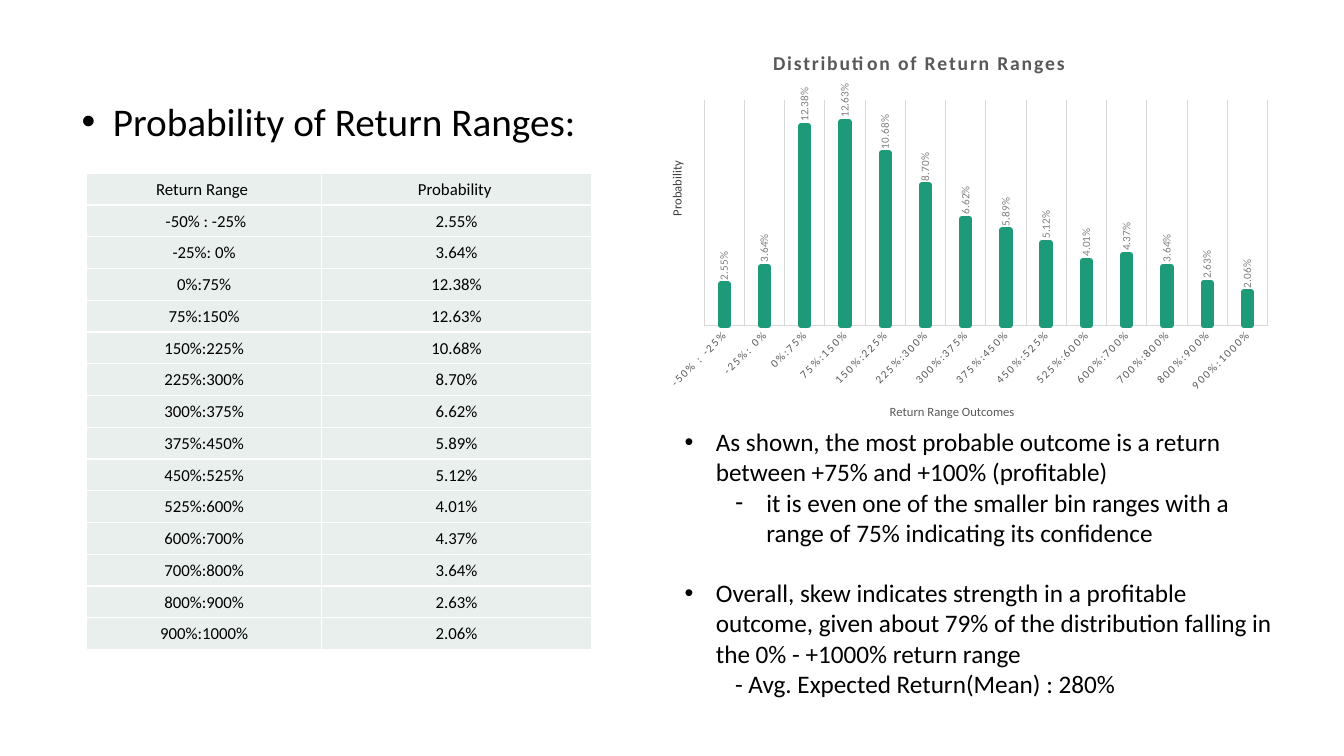
from typing import Any, NamedTuple

from lxml import etree
from pptx import Presentation
from pptx import util as u
from pptx.chart import data as cd
from pptx.dml.color import RGBColor
from pptx.enum import chart as ch, text as tx
from pptx.oxml.ns import qn

WIDE, HIGH = u.Inches(13.33), u.Inches(7.5)
FONT = "Calibri"
HUES = {"ink": "000000", "dark": "404040", "grey": "595959", "label": "808080",
        "rule": "D9D9D9", "bar": "1D9A78", "cell": "E8EFEC", "edge": "FFFFFF"}


class Box(NamedTuple):
    """Left, top, width and height in percent of the slide."""
    x: float
    y: float
    w: float
    h: float


class Item(NamedTuple):
    words: str
    mark: str = "•"
    left: float = 0.31
    hang: float = 0.31
    size: float = 18
    level: int = 0


class Bin(NamedTuple):
    span: str
    odds: float


class Label(NamedTuple):
    """A chart title with its place as shares of the chart."""
    words: str
    x: float
    y: float
    size: float
    hue: str = "grey"
    bold: bool = False
    space: int = 0
    turn: int = 0


HEAD = (Box(5.33, 12.27, 50.04, 7.6), [Item("Probability of Return Ranges:", size=28)])
LISTS = [
    (Box(50.19, 55.73, 46.14, 17.47), [
        Item("As shown, the most probable outcome is a return between +75% "
             "and +100% (profitable)"),
        Item("it is even one of the smaller bin ranges with a range of 75% "
             "indicating its confidence", "-", 0.81, level=1)]),
    (Box(50.19, 75.7, 46.14, 21.6), [
        Item("Overall, skew indicates strength in a profitable outcome, given about "
             "79% of the distribution falling in the 0% - +1000% return range"),
        Item("- Avg. Expected Return(Mean) : 280%", "", 0.5, 0)]),
]
GRID, COLS = Box(6.45, 22.93, 37.58, 63.07), (17.47, 20.11)
PLOT = Box(48.01, 4.8, 47.64, 52.53)
BINS = [Bin(*row) for row in (
    (" -50% : -25%", 0.0255), ("-25%: 0%", 0.0364), ("0%:75%", 0.1238),
    ("75%:150%", 0.1263), ("150%:225%", 0.1068), ("225%:300%", 0.087),
    ("300%:375%", 0.0662), ("375%:450%", 0.0589), ("450%:525%", 0.0512),
    ("525%:600%", 0.0401), ("600%:700%", 0.0437), ("700%:800%", 0.0364),
    ("800%:900%", 0.0263), ("900%:1000%", 0.0206))]


def hue(name: str) -> RGBColor:
    return RGBColor.from_string(HUES[name])


def place(box: Box) -> list[int]:
    return [int(part * side / 100) for part, side in zip(box, (WIDE, HIGH) * 2)]


def node(base: Any, tag: str, **attrs: Any) -> Any:
    """Append an XML child with the given attributes."""
    return etree.SubElement(base, qn(tag), {k: str(v) for k, v in attrs.items()})


def style(font: Any, size: float, name: str = "ink", bold: bool = False) -> None:
    font.name, font.size, font.bold = FONT, u.Pt(size), bold
    font.color.rgb = hue(name)


def write(par: Any, words: str, size: float, name: str = "ink", bold: bool = False) -> Any:
    run = par.add_run()
    run.text = words
    style(run.font, size, name, bold)
    return run


def fill_list(shape: Any, box: Box, items: list[Item]) -> None:
    shape.left, shape.top, shape.width, shape.height = place(box)
    frame = shape.text_frame
    frame.word_wrap, frame.auto_size = True, tx.MSO_AUTO_SIZE.NONE
    frame.vertical_anchor = tx.MSO_ANCHOR.TOP
    for i, item in enumerate(items):
        par = frame.add_paragraph() if i else frame.paragraphs[0]
        par.level, par.alignment = item.level, tx.PP_ALIGN.LEFT
        par.space_before, par.line_spacing = u.Pt(0), 1.0
        props = par._p.get_or_add_pPr()
        props.set("marL", str(u.Inches(item.left)))
        props.set("indent", str(-u.Inches(item.hang)))
        if item.mark:
            node(props, "a:buFont", typeface="Arial")
            node(props, "a:buChar", char=item.mark)
        else:
            node(props, "a:buNone")
        write(par, item.words, item.size)


def fill_cell(cell: Any, words: str) -> None:
    cell.margin_left = cell.margin_right = cell.margin_top = u.Inches(0.01)
    cell.margin_bottom = 0
    cell.vertical_anchor = tx.MSO_ANCHOR.MIDDLE
    par = cell.text_frame.paragraphs[0]
    par.alignment = tx.PP_ALIGN.CENTER
    write(par, words, 12)
    props = cell._tc.get_or_add_tcPr()
    for side in "LRTB":
        line = node(props, f"a:ln{side}", w=u.Pt(1))
        node(node(line, "a:solidFill"), "a:srgbClr", val=HUES["edge"])
    cell.fill.solid()
    cell.fill.fore_color.rgb = hue("cell")


def add_grid(slide: Any) -> None:
    rows = [("Return Range ", "Probability ")]
    rows += [(b.span, f"{b.odds:.2%}") for b in BINS]
    table = slide.shapes.add_table(len(rows), len(COLS), *place(GRID)).table
    table.first_row = table.horz_banding = False
    for col, share in zip(table.columns, COLS):
        col.width = int(share * WIDE / 100)
    for r, row in enumerate(rows):
        for c, words in enumerate(row):
            fill_cell(table.cell(r, c), words)


def turn(base: Any, angle: int) -> None:
    body = next(base.iter(qn("a:bodyPr")))
    body.set("rot", str(angle * 60000))
    body.set("vert", "horz")


def new_spot(base: Any) -> Any:
    """Swap any old layout of a chart part for an empty manual one."""
    for old in base.findall(qn("c:layout")):
        base.remove(old)
    spot = etree.Element(qn("c:layout"))
    text = base.find(qn("c:tx"))
    base.insert(0 if text is None else base.index(text) + 1, spot)
    return node(spot, "c:manualLayout")


def add_label(title: Any, label: Label) -> None:
    run = write(title.text_frame.paragraphs[0], label.words, label.size, label.hue, label.bold)
    run._r.get_or_add_rPr().set("spc", str(label.space))
    turn(title._element, label.turn)
    hand = new_spot(title._element)
    for tag, val in (("xMode", "edge"), ("yMode", "edge"), ("x", label.x), ("y", label.y)):
        node(hand, f"c:{tag}", val=val)


def add_bars(slide: Any) -> None:
    data = cd.CategoryChartData(number_format="0.00%")
    data.categories = [b.span for b in BINS]
    data.add_series("Series 1", [b.odds for b in BINS])
    chart = slide.shapes.add_chart(ch.XL_CHART_TYPE.COLUMN_CLUSTERED, *place(PLOT), data).chart
    style(chart.font, 10)
    chart.has_legend = False
    add_label(chart.chart_title, Label("Distribution of Return Ranges", 0.194, 0.024, 14,
                                       bold=True, space=120))
    hand = new_spot(chart._chartSpace.chart.plotArea)
    for tag, val in (("layoutTarget", "inner"), ("xMode", "edge"), ("yMode", "edge"),
                     ("x", 0.092), ("y", 0.16), ("w", 0.88), ("h", 0.568)):
        node(hand, f"c:{tag}", val=val)

    cat, val = chart.category_axis, chart.value_axis
    cat.major_tick_mark = ch.XL_TICK_MARK.NONE
    cat.has_major_gridlines = True
    for line in (cat.format.line, cat.major_gridlines.format.line):
        line.color.rgb, line.width = hue("rule"), u.Pt(0.75)
    style(cat.tick_labels.font, 8, "grey")
    cat.tick_labels.font._element.set("spc", "120")
    turn(cat._element.find(qn("c:txPr")), -45)
    add_label(cat.axis_title, Label("Return Range Outcomes", 0.378, 0.92, 9))
    val.has_major_gridlines = val.visible = False
    val.minimum_scale, val.maximum_scale = 0, 0.14
    add_label(val.axis_title, Label("Probability", 0.033, 0.308, 9, "dark", turn=-90))

    plot = chart.plots[0]
    plot.vary_by_categories, plot.gap_width, plot.overlap = False, 444, -90
    form = plot.series[0].format
    form.fill.solid()
    form.fill.fore_color.rgb = form.line.color.rgb = hue("bar")
    form.line.width = u.Pt(4.25)
    node(form.line._get_or_add_ln(), "a:round")
    tags = plot.series[0].data_labels
    tags.show_value, tags.position = True, ch.XL_LABEL_POSITION.OUTSIDE_END
    tags.number_format, tags.number_format_is_linked = "0.00%", False
    style(tags.font, 8, "label")
    turn(tags._element, -90)


def main() -> None:
    deck = Presentation()
    deck.slide_width, deck.slide_height = WIDE, HIGH
    slide = deck.slides.add_slide(deck.slide_layouts[3])
    for shape, (box, items) in zip(slide.placeholders, [HEAD, *LISTS]):
        fill_list(shape, box, items)
    add_grid(slide)
    add_bars(slide)
    deck.save("out.pptx")


if __name__ == "__main__":
    main()
